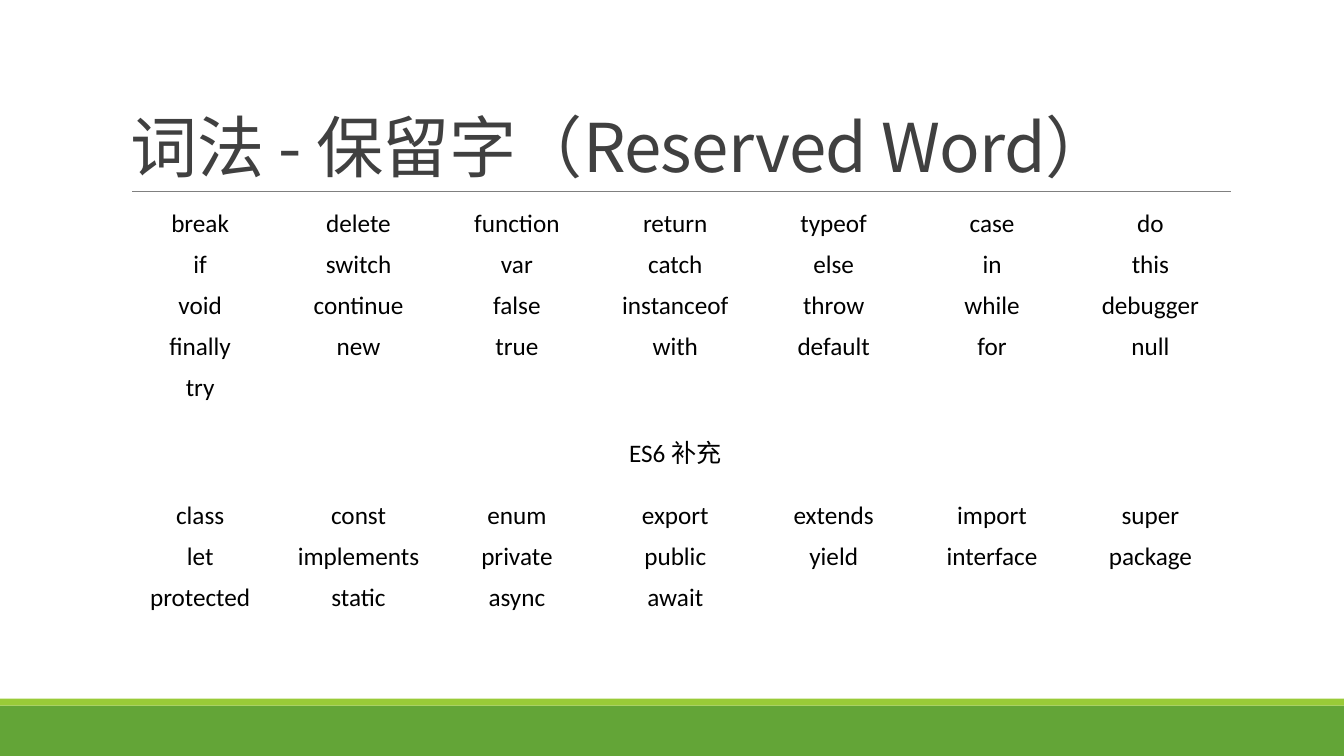
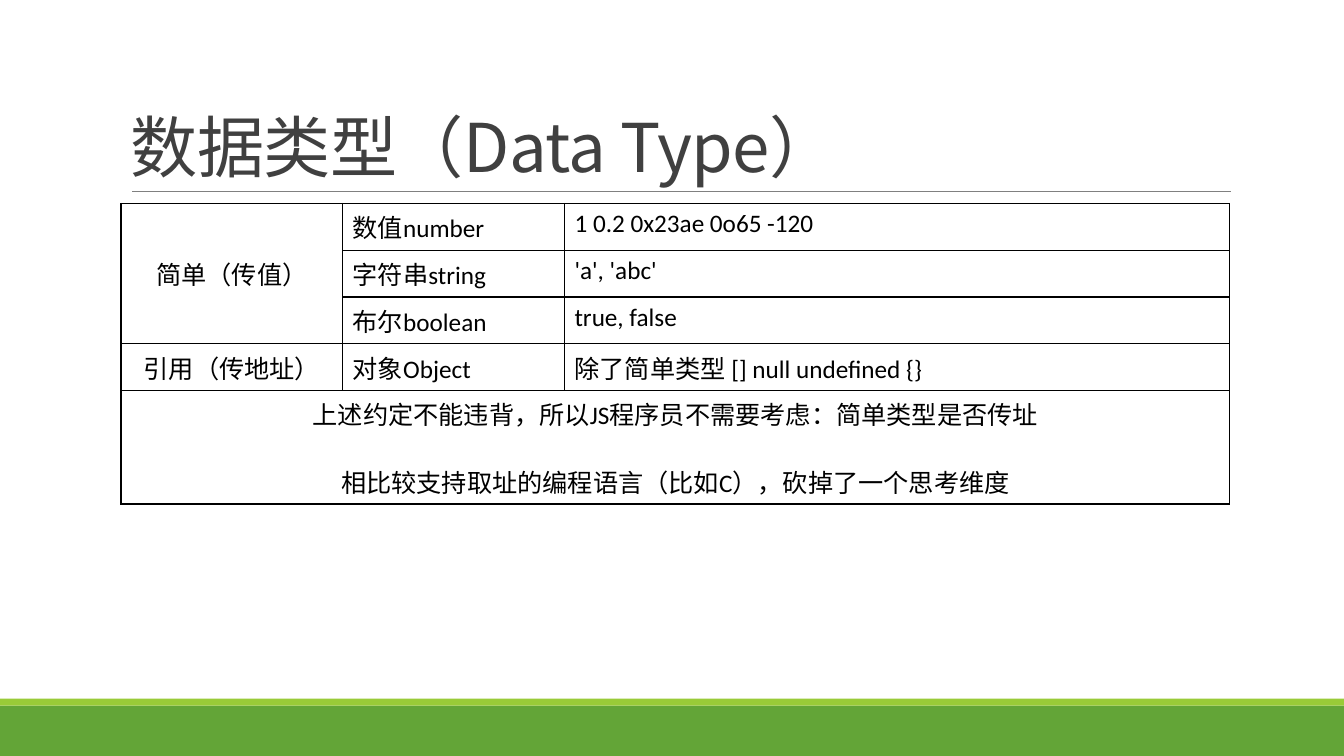
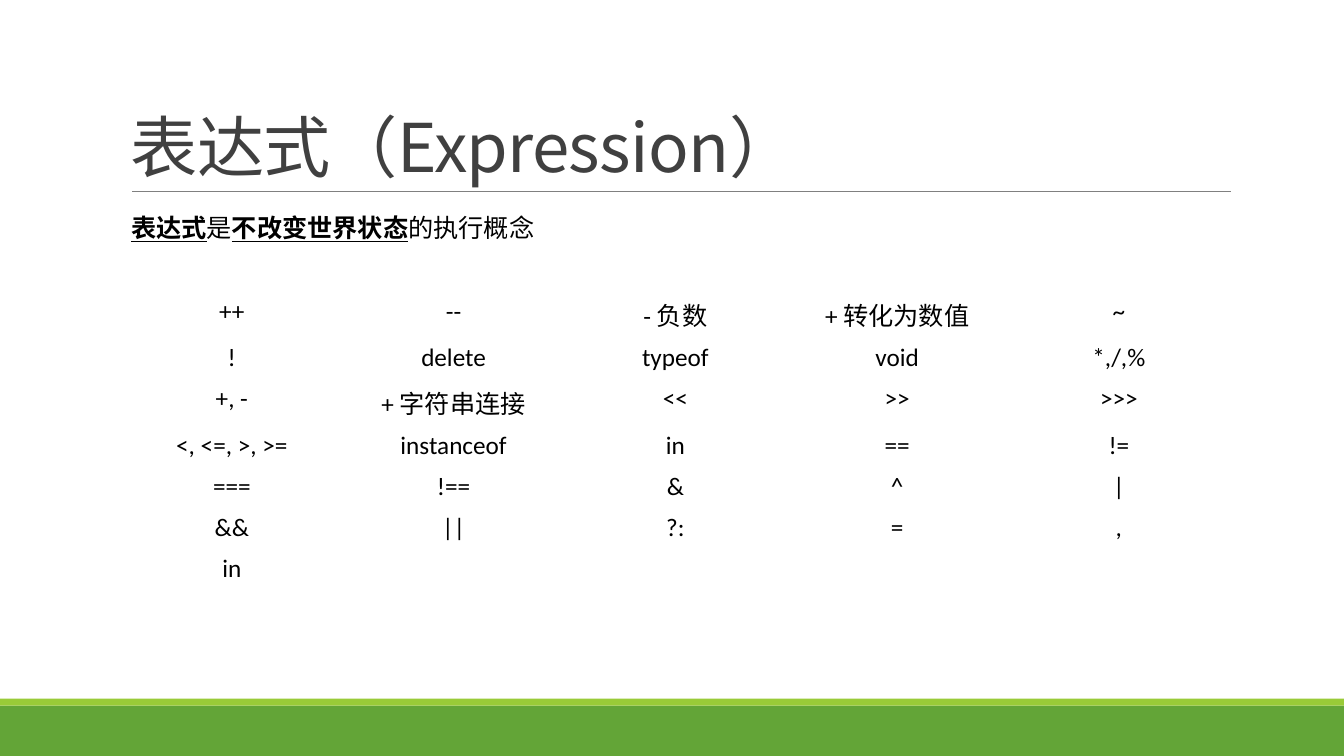
from dataclasses import dataclass

from lxml import etree
from pptx import Presentation
from pptx.dml.color import RGBColor
from pptx.enum import shapes, text
from pptx.oxml import ns
from pptx.util import Pt

GREEN = RGBColor(0x63, 0xA5, 0x37)
LIME = RGBColor(0x99, 0xCB, 0x38)
GREY = RGBColor(0x80, 0x80, 0x80)
DARK = RGBColor(0x40, 0x40, 0x40)
BLACK = RGBColor(0, 0, 0)

CJK_FONT = "Noto Sans CJK SC"
BODY_FONT = "Calibri"
SLIDE_W, SLIDE_H = 960, 540
LEFT, CONTENT_W = 86.4, 792
TABLE_TOP = 145.4
ROW_H, CJK_ROW_H, LINE_H = 29.2, 33.4, 22


@dataclass(frozen=True)
class Band:
    top: float
    height: float
    color: RGBColor


@dataclass(frozen=True)
class Run:
    text: str
    strong: bool = False


@dataclass(frozen=True)
class Cell:
    paragraphs: tuple[tuple[Run, ...], ...]
    centred: bool = True
    middle: bool = False
    span: tuple[int, int] = (1, 1)


@dataclass(frozen=True)
class Grid:
    title: str
    widths: list[float]
    rows: list[list[Cell]]
    heights: dict[int, float]
    bordered: bool = False


BANDS = (Band(504, 36, GREEN), Band(499, 5, LIME))


def cell(*lines: str, centred: bool = True, middle: bool = False,
         span: tuple[int, int] = (1, 1)) -> Cell:
    return Cell(tuple((Run(line),) for line in lines), centred, middle, span)


def words(line: str) -> list[Cell]:
    return [cell(word) for word in line.split()]


def left(*values: str) -> list[Cell]:
    return [cell(value, centred=False) for value in values]


def style_paragraph(p, size: float, font: str, color: RGBColor):
    p.font.size = Pt(size)
    p.font.color.rgb = color
    p.font.name = font
    props = p._p.get_or_add_pPr().get_or_add_defRPr()
    etree.SubElement(props, ns.qn("a:ea"), typeface=CJK_FONT)
    return props


def draw_frame(s, title: str) -> None:
    for band in BANDS:
        sp = s.shapes.add_shape(shapes.MSO_SHAPE.RECTANGLE, 0, Pt(band.top),
                                Pt(SLIDE_W), Pt(band.height))
        sp.shadow.inherit = False
        sp.fill.solid()
        sp.fill.fore_color.rgb = band.color
        sp.line.fill.background()
    rule = s.shapes.add_connector(shapes.MSO_CONNECTOR.STRAIGHT, Pt(94.5),
                                  Pt(136.5), Pt(879), Pt(136.5))
    rule.line.color.rgb = GREY
    rule.line.width = Pt(0.5)
    etree.SubElement(rule._element.spPr, ns.qn("a:effectLst"))
    tf = s.shapes.add_textbox(Pt(LEFT), Pt(22.3), Pt(CONTENT_W), Pt(114.5)).text_frame
    tf.word_wrap = True
    tf.vertical_anchor = text.MSO_ANCHOR.BOTTOM
    p = tf.paragraphs[0]
    p.add_run().text = title
    p.line_spacing = 0.85
    style_paragraph(p, 48, CJK_FONT, DARK).set("spc", "-50")


def add_borders(tc) -> None:
    props = tc._tc.get_or_add_tcPr()
    for i, side in enumerate(("lnL", "lnR", "lnT", "lnB")):
        ln = etree.Element(ns.qn(f"a:{side}"), w=str(Pt(1)))
        fill = etree.SubElement(ln, ns.qn("a:solidFill"))
        etree.SubElement(fill, ns.qn("a:srgbClr"), val=str(BLACK))
        props.insert(i, ln)


def fill_cell(tc, content: Cell) -> None:
    if content.middle:
        tc.vertical_anchor = text.MSO_ANCHOR.MIDDLE
    tf = tc.text_frame
    for i, runs in enumerate(content.paragraphs):
        p = tf.add_paragraph() if i else tf.paragraphs[0]
        if i:
            p.space_before = Pt(LINE_H)
        if content.centred:
            p.alignment = text.PP_ALIGN.CENTER
        style_paragraph(p, 18, BODY_FONT, BLACK)
        for run in runs:
            r = p.add_run()
            r.text = run.text
            if run.strong:
                r.font.bold = r.font.underline = True


def row_height(row: list[Cell]) -> float:
    shown = "".join(r.text for c in row for runs in c.paragraphs for r in runs)
    return ROW_H if shown.isascii() else CJK_ROW_H


def draw_table(s, grid: Grid) -> None:
    heights = [grid.heights.get(i, row_height(row)) for i, row in enumerate(grid.rows)]
    table = s.shapes.add_table(len(heights), len(grid.widths), Pt(LEFT), Pt(TABLE_TOP),
                               Pt(CONTENT_W), Pt(sum(heights))).table
    table.first_row = table.horz_banding = False
    for column, width in zip(table.columns, grid.widths):
        column.width = Pt(width)
    for row, height in zip(table.rows, heights):
        row.height = Pt(height)
    for tc in table.iter_cells():
        tc.fill.background()
        if grid.bordered:
            add_borders(tc)
    for y, row in enumerate(grid.rows):
        for x, content in enumerate(row):
            tc = table.cell(y, x)
            fill_cell(tc, content)
            if content.span != (1, 1):
                down, across = content.span
                tc.merge(table.cell(y + down - 1, x + across - 1))


RESERVED_WORDS = Grid(
    "词法 - 保留字（Reserved Word）",
    [CONTENT_W / 7] * 7,
    [
        words("break delete function return typeof case do"),
        words("if switch var catch else in this"),
        words("void continue false instanceof throw while debugger"),
        words("finally new true with default for null"),
        words("try"),
        [cell("ES6 补充", middle=True, span=(1, 7))],
        words("class const enum export extends import super"),
        words("let implements private public yield interface package"),
        words("protected static async await"),
    ],
    {5: 62.6},
)

DATA_TYPES = Grid(
    "数据类型（Data Type）",
    [CONTENT_W * share for share in (0.2, 0.2, 0.6)],
    [
        [cell("简单（传值）", middle=True, span=(3, 1)),
         *left("数值number", "1 0.2 0x23ae 0o65 -120")],
        [cell(), *left("字符串string", "'a', 'abc'")],
        [cell(), *left("布尔boolean", "true, false")],
        [cell("引用（传地址）", middle=True),
         *left("对象Object", "除了简单类型 [] null undefined {}")],
        [cell("上述约定不能违背，所以JS程序员不需要考虑：简单类型是否传址",
              "相比较支持取址的编程语言（比如C），砍掉了一个思考维度",
              middle=True, span=(1, 3))],
    ],
    {4: 81},
    bordered=True,
)

DEFINITION = Cell(
    ((Run("表达式", True), Run("是"), Run("不改变世界状态", True), Run("的执行概念")),),
    centred=False, span=(1, 5))

EXPRESSIONS = Grid(
    "表达式（Expression）",
    [CONTENT_W / 5] * 5,
    [
        [DEFINITION],
        [cell(span=(1, 5))],
        [cell(v) for v in ("++", "--", "- 负数", "+ 转化为数值", "~")],
        words("! delete typeof void *,/,%"),
        [cell(v) for v in ("+, -", "+ 字符串连接", "<<", ">>", ">>>")],
        [cell("<, <=, >, >="), *words("instanceof in == !=")],
        words("=== !== & ^ |"),
        words("&& || ?: = ,"),
        words("in"),
    ],
    {},
)


def main() -> None:
    prs = Presentation()
    prs.slide_width, prs.slide_height = Pt(SLIDE_W), Pt(SLIDE_H)
    for grid in (RESERVED_WORDS, DATA_TYPES, EXPRESSIONS):
        s = prs.slides.add_slide(prs.slide_layouts[6])
        draw_frame(s, grid.title)
        draw_table(s, grid)
    prs.save("out.pptx")


if __name__ == "__main__":
    main()
